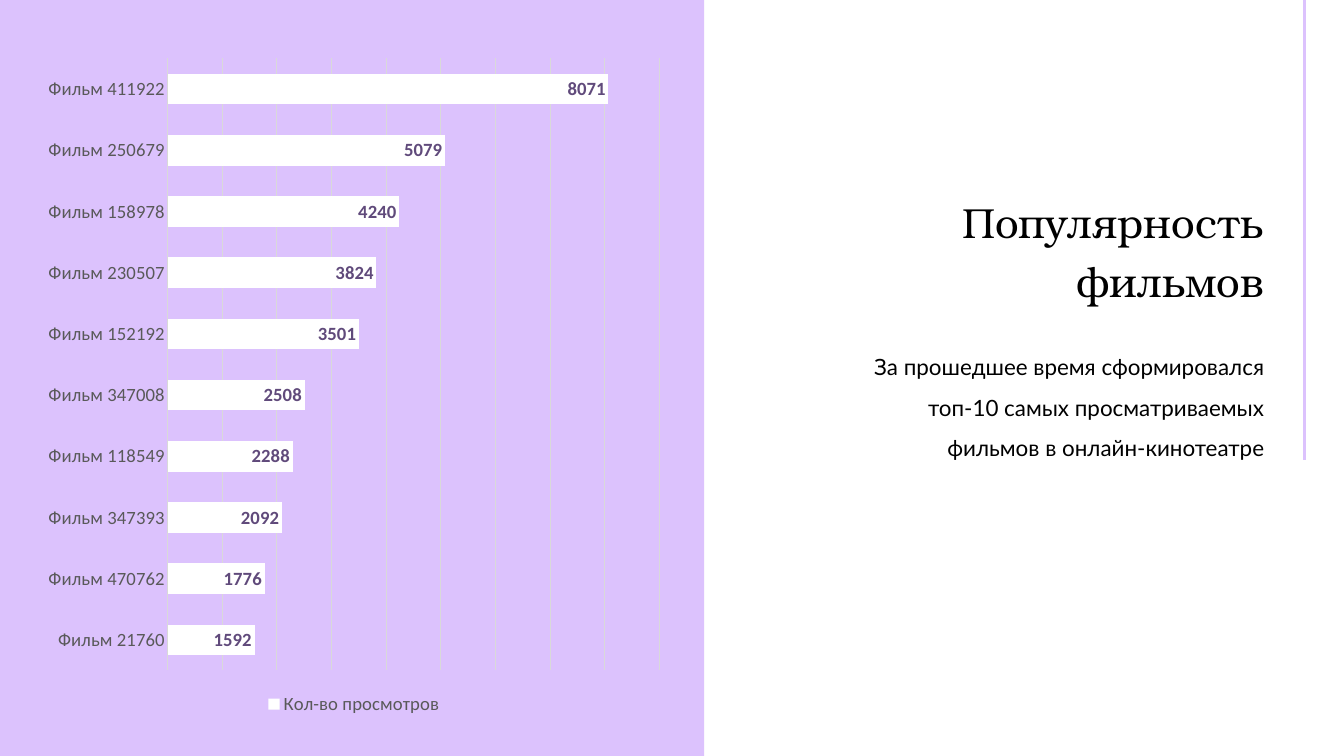
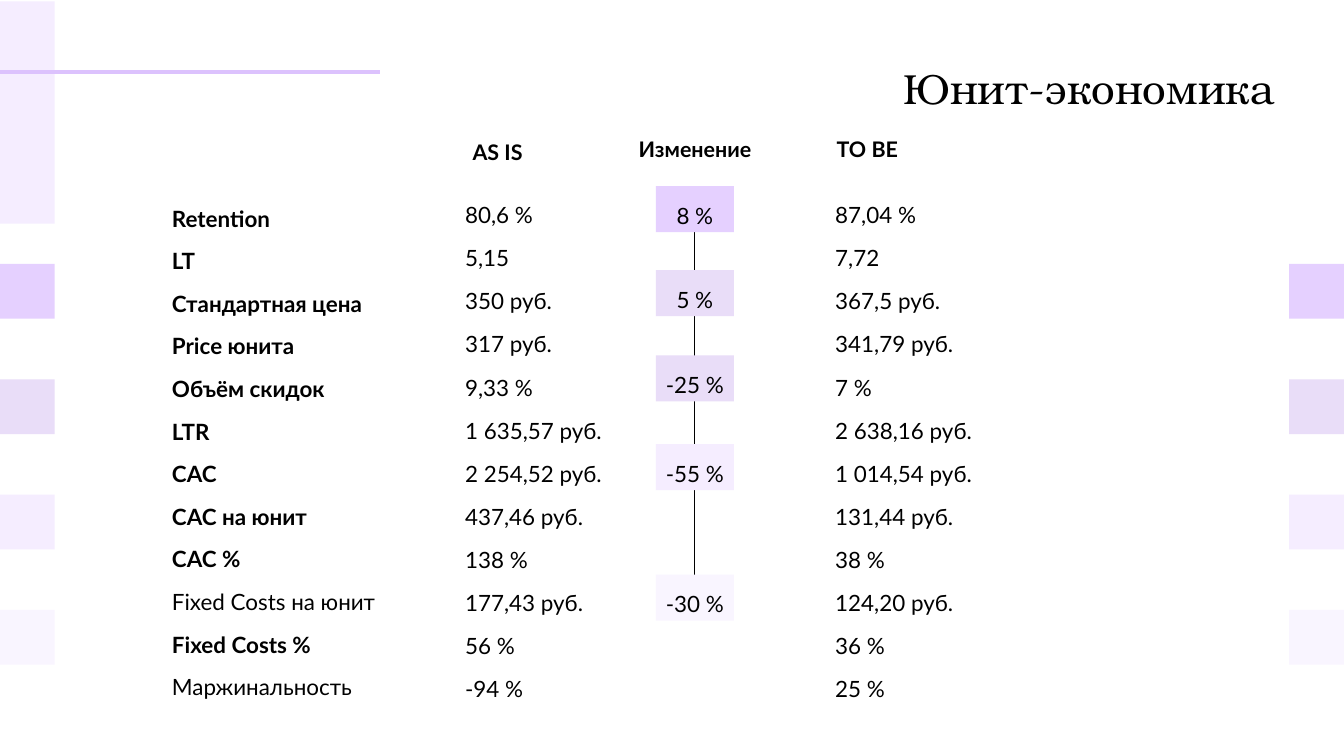
from dataclasses import dataclass

from lxml import etree
from pptx import Presentation
from pptx.chart.data import CategoryChartData
from pptx.dml.color import RGBColor
from pptx.enum.chart import XL_CHART_TYPE, XL_LABEL_POSITION, XL_LEGEND_POSITION, XL_TICK_MARK
from pptx.enum.shapes import MSO_CONNECTOR, MSO_SHAPE
from pptx.enum.text import MSO_ANCHOR, MSO_AUTO_SIZE, PP_ALIGN
from pptx.oxml.ns import qn
from pptx.util import Cm, Pt

BAR_CLUSTERED = XL_CHART_TYPE.BAR_CLUSTERED
INSIDE_END = XL_LABEL_POSITION.INSIDE_END
LEGEND_BOTTOM = XL_LEGEND_POSITION.BOTTOM
NO_TICKS = XL_TICK_MARK.NONE
STRAIGHT = MSO_CONNECTOR.STRAIGHT
RECTANGLE = MSO_SHAPE.RECTANGLE
TOP = MSO_ANCHOR.TOP
NO_AUTOFIT = MSO_AUTO_SIZE.NONE
LEFT, CENTER, RIGHT = PP_ALIGN.LEFT, PP_ALIGN.CENTER, PP_ALIGN.RIGHT

TITLE_FONT, TEXT_FONT, CHART_FONT = "TeX Gyre Bonum", "Lato", "Calibri"
BLACK, WHITE, GRAY, LIGHT_GRAY = "000000", "FFFFFF", "595959", "D9D9D9"
ACCENT, DEEP_VIOLET = "DCC2FD", "604A7B"
LILAC, MAUVE, PALE, FAINT = "E5D0FF", "E9DDF8", "F5EDFF", "F9F5FF"

SLIDE_WIDTH, SLIDE_HEIGHT = 50.8, 28.58
TITLE_ONLY_LAYOUT, TITLE_AND_BODY_LAYOUT = 5, 1


@dataclass(frozen=True)
class Box:
    """Place and size in centimetres."""
    left: float
    top: float
    width: float
    height: float

    def lengths(self) -> tuple:
        return Cm(self.left), Cm(self.top), Cm(self.width), Cm(self.height)


@dataclass(frozen=True)
class Metric:
    name: str
    as_is: str
    to_be: str
    bold: bool = True


@dataclass(frozen=True)
class Change:
    text: str
    top: float
    color: str


@dataclass(frozen=True)
class Header:
    text: str
    box: Box


FILM_VIEWS = {
    411922: 8071, 250679: 5079, 158978: 4240, 230507: 3824, 152192: 3501,
    347008: 2508, 118549: 2288, 347393: 2092, 470762: 1776, 21760: 1592,
}
METRICS = [
    Metric("Retention", "80,6 %", "87,04 %"),
    Metric("LT", "5,15", "7,72"),
    Metric("Стандартная цена", "350 руб.", "367,5 руб."),
    Metric("Price юнита", "317 руб.", "341,79 руб."),
    Metric("Объём скидок", "9,33 %", "7 %"),
    Metric("LTR", "1 635,57 руб.", "2 638,16 руб."),
    Metric("CAC", "2 254,52 руб.", "1 014,54 руб."),
    Metric("CAC на юнит", "437,46 руб.", "131,44 руб."),
    Metric("CAC %", "138 %", "38 %"),
    Metric("Fixed Costs на юнит", "177,43 руб.", "124,20 руб.", bold=False),
    Metric("Fixed Costs %", "56 %", "36 %"),
    Metric("Маржинальность", "-94 %", "25 %", bold=False),
]
CHANGES = [
    Change("8 %", 7.04, LILAC),
    Change("5 %", 10.21, MAUVE),
    Change("-25 %", 13.44, MAUVE),
    Change("-55 %", 16.79, PALE),
    Change("-30 %", 21.72, FAINT),
]
HEADERS = [
    Header("AS IS", Box(17.58, 5.08, 2.46, 1.04)),
    Header("Изменение", Box(23.75, 5, 5.05, 1.04)),
    Header("TO BE", Box(31.5, 5, 2.57, 1.04)),
]


def rgb(color: str) -> RGBColor:
    return RGBColor.from_string(color)


def style_font(font, name: str, size: float, color: str, bold: bool = False) -> None:
    font.name, font.size, font.bold = name, Pt(size), bold
    font.color.rgb = rgb(color)


def write_text(shape, text: str, *, font: str = TEXT_FONT, size: float = 24,
               color: str = BLACK, bold: bool = False, align=LEFT,
               spacing=1.0, top_inset: float = 0) -> None:
    """Fill a shape with one paragraph, anchored at its top without side insets."""
    frame = shape.text_frame
    frame.word_wrap, frame.auto_size, frame.vertical_anchor = True, NO_AUTOFIT, TOP
    frame.margin_left = frame.margin_right = frame.margin_bottom = 0
    frame.margin_top = Cm(top_inset)
    paragraph = frame.paragraphs[0]
    paragraph.alignment, paragraph.line_spacing = align, spacing
    paragraph.space_before = Pt(0)
    run = paragraph.add_run()
    run.text = text
    style_font(run.font, font, size, color, bold)


def add_text(slide, box: Box, text: str, **text_format) -> None:
    write_text(slide.shapes.add_textbox(*box.lengths()), text, **text_format)


def place(shape, box: Box) -> None:
    shape.left, shape.top, shape.width, shape.height = box.lengths()


def add_title(slide, box: Box, text: str) -> None:
    place(slide.shapes.title, box)
    write_text(slide.shapes.title, text, font=TITLE_FONT, size=45,
               align=RIGHT, spacing=Pt(63))


def add_body(slide, box: Box, text: str) -> None:
    body = slide.placeholders[1]
    place(body, box)
    write_text(body, text, align=RIGHT, spacing=1.5)
    properties = body.text_frame.paragraphs[0]._p.get_or_add_pPr()
    properties.set("marL", "0")
    properties.set("indent", "0")
    etree.SubElement(properties, qn("a:buNone"))


def add_rectangle(slide, box: Box, color: str):
    shape = slide.shapes.add_shape(RECTANGLE, *box.lengths())
    shape.shadow.inherit = False
    shape.fill.solid()
    shape.fill.fore_color.rgb = rgb(color)
    shape.line.fill.background()
    return shape


def add_line(slide, start: tuple[float, float], end: tuple[float, float],
             color: str = ACCENT, width: float = 3.75) -> None:
    line = slide.shapes.add_connector(STRAIGHT, *map(Cm, start + end))
    line.line.color.rgb = rgb(color)
    line.line.width = Pt(width)
    etree.SubElement(line._element.spPr, qn("a:effectLst"))


def add_views_chart(slide, box: Box) -> None:
    data = CategoryChartData()
    data.categories = [f"Фильм {number}" for number in FILM_VIEWS]
    data.add_series("Кол-во просмотров", FILM_VIEWS.values())
    chart = slide.shapes.add_chart(BAR_CLUSTERED, *box.lengths(), data).chart
    style_font(chart.font, CHART_FONT, 10, BLACK)
    chart.has_title = False
    chart.has_legend = True
    chart.legend.position = LEGEND_BOTTOM
    chart.legend.include_in_layout = False
    style_font(chart.legend.font, CHART_FONT, 20, GRAY)

    films = chart.category_axis
    films.reverse_order = True
    films.major_tick_mark = films.minor_tick_mark = NO_TICKS
    style_font(films.tick_labels.font, CHART_FONT, 20, GRAY)

    views = chart.value_axis
    views.visible = False
    views.minimum_scale, views.maximum_scale, views.major_unit = 0, 9000, 1000
    views.has_major_gridlines = True
    for line in (films.format.line, views.major_gridlines.format.line):
        line.color.rgb = rgb(LIGHT_GRAY)
        line.width = Pt(0.75)

    plot = chart.plots[0]
    plot.gap_width = 100
    plot.vary_by_categories = False
    series = plot.series[0]
    series.format.fill.solid()
    series.format.fill.fore_color.rgb = rgb(WHITE)
    labels = series.data_labels
    labels.show_value = True
    labels.position = INSIDE_END
    style_font(labels.font, CHART_FONT, 20, DEEP_VIOLET, bold=True)


def build_popularity(presentation) -> None:
    slide = presentation.slides.add_slide(presentation.slide_layouts[TITLE_AND_BODY_LAYOUT])
    add_title(slide, Box(31.47, 7.11, 16.31, 4.32), "Популярность фильмов")
    add_body(slide, Box(31.47, 12.85, 16.31, 4.42),
             "За прошедшее время сформировался топ-10 самых просматриваемых "
             "фильмов в онлайн-кинотеатре")
    add_rectangle(slide, Box(0, 0, 26.62, SLIDE_HEIGHT), ACCENT)
    add_line(slide, (49.3, 0), (49.3, 17.4))
    add_views_chart(slide, Box(1.35, 1.7, 24.05, 25.5))


def add_side_squares(slide) -> None:
    size, first_top, step = 2.07, 9.98, 4.36
    for index, color in enumerate((LILAC, MAUVE, PALE, FAINT)):
        for left in (0, SLIDE_WIDTH - size):
            add_rectangle(slide, Box(left, first_top + index * step, size, size), color)


def add_changes(slide) -> None:
    add_line(slide, (26.25, 7.32), (26.25, 23.14), BLACK, 0.75)
    for change in CHANGES:
        chip = add_rectangle(slide, Box(24.79, change.top, 2.95, 1.74), change.color)
        write_text(chip, change.text, align=CENTER, spacing=Pt(42), top_inset=0.13)


def add_metrics(slide) -> None:
    for header in HEADERS:
        add_text(slide, header.box, header.text, size=23, bold=True,
                 align=CENTER, spacing=Pt(32.2))
    for row, metric in enumerate(METRICS):
        add_text(slide, Box(6.5, 7.72 + row * 1.61, 8.8, 0.97), metric.name,
                 bold=metric.bold, spacing=Pt(29.4))
        for left, value in ((17.58, metric.as_is), (31.57, metric.to_be)):
            add_text(slide, Box(left, 7.14 + row * 1.63, 6, 1.3), value, spacing=Pt(42))


def build_unit_economics(presentation) -> None:
    slide = presentation.slides.add_slide(presentation.slide_layouts[TITLE_ONLY_LAYOUT])
    add_title(slide, Box(32.18, 2.03, 16.03, 2.08), "Юнит-экономика")
    add_rectangle(slide, Box(0, 0.05, 2.07, 8.41), PALE)
    add_line(slide, (0, 2.72), (14.35, 2.72))
    add_side_squares(slide)
    add_changes(slide)
    add_metrics(slide)


def main() -> None:
    presentation = Presentation()
    presentation.slide_width, presentation.slide_height = Cm(SLIDE_WIDTH), Cm(SLIDE_HEIGHT)
    build_popularity(presentation)
    build_unit_economics(presentation)
    presentation.save("out.pptx")


if __name__ == "__main__":
    main()
